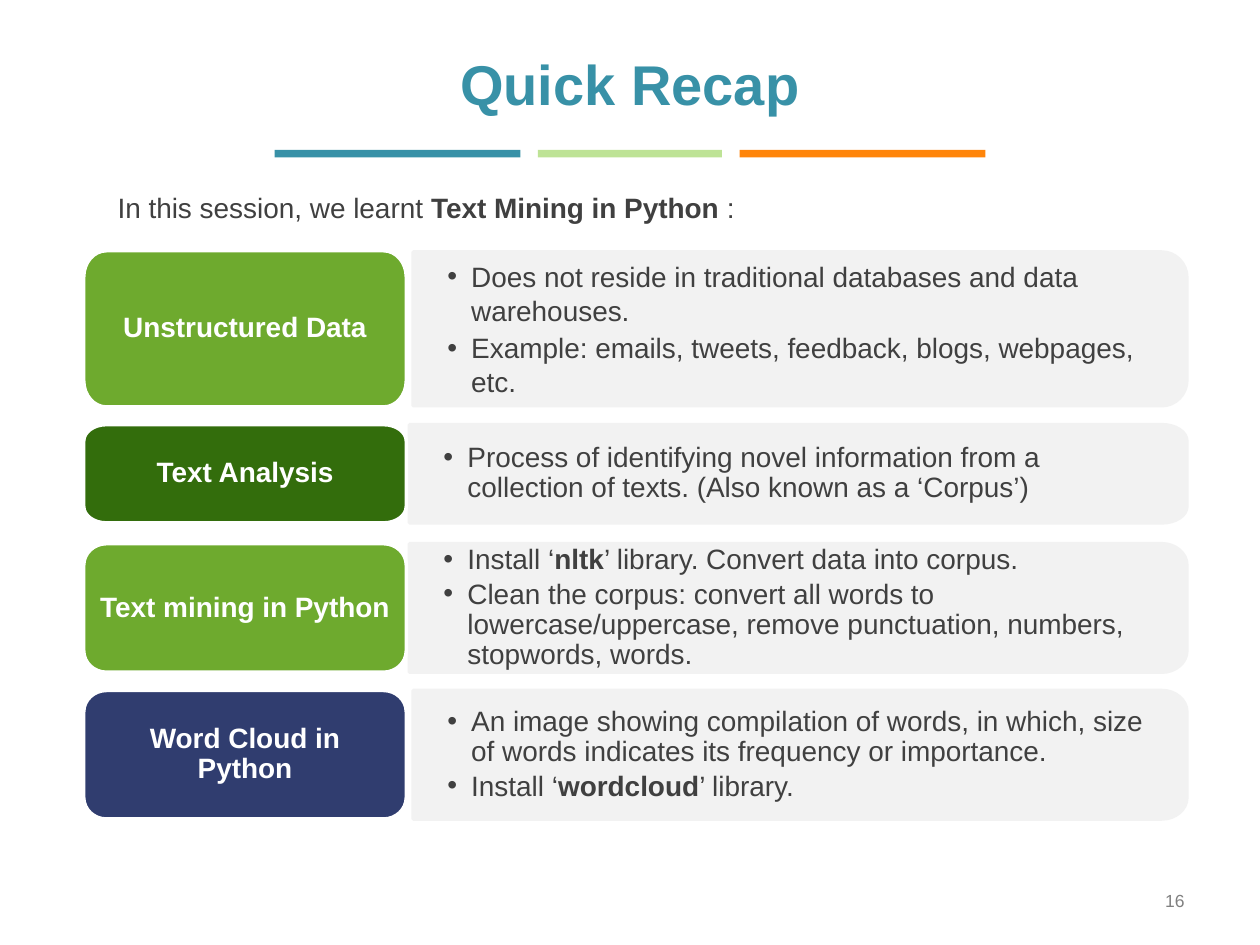
from dataclasses import dataclass
from typing import List, Tuple

import pptx
import pptx.dml.color
import pptx.enum.shapes
import pptx.enum.text
import pptx.oxml.ns
import pptx.util
from lxml import etree

ALIGN = pptx.enum.text.PP_ALIGN
MIDDLE = pptx.enum.text.MSO_ANCHOR.MIDDLE
COLUMNS, ROWS = 100, 75
CELL = pptx.util.Inches(10) // COLUMNS

Runs = List[Tuple[str, bool]]


@dataclass(frozen=True)
class Theme:
    font: str = "Arial"
    teal: str = "3891A7"
    lime: str = "BEE396"
    orange: str = "FF850A"
    green: str = "6EAA2E"
    forest: str = "336D0C"
    navy: str = "303D6F"
    panel: str = "F2F2F2"
    white: str = "FFFFFF"
    body: str = "404040"
    grey: str = "808080"
    title_size: int = 32
    body_size: int = 16
    number_size: int = 10


@dataclass(frozen=True)
class Topic:
    label: str
    color: str
    top: float
    height: float
    overhang: float
    panel_left: float
    spacing: float
    bullets: List[Runs]


T = Theme()
LABEL_LEFT, LABEL_RIGHT, PANEL_RIGHT = 6.65, 32.25, 94.2
CURVE = 0.55

TOPICS = [
    Topic("Unstructured Data", T.green, 20, 12.2, 0.1, 32.8, 1.0, [
        [("Does not reside in traditional databases and data warehouses.", False)],
        [("Example: emails, tweets, feedback, blogs, webpages, etc.", False)],
    ]),
    Topic("Text Analysis", T.forest, 33.7, 7.8, 0, 32.5, 0.9, [
        [("Process of identifying novel information from a collection of texts. "
          "(Also known as a ‘Corpus’)", False)],
    ]),
    Topic("Text mining in Python", T.green, 43.15, 10.2, 0, 32.5, 0.9, [
        [("Install ‘", False), ("nltk", True),
         ("’ library. Convert data into corpus.", False)],
        [("Clean the corpus: convert all words to lowercase/uppercase, remove "
          "punctuation, numbers, stopwords, words.", False)],
    ]),
    Topic("Word Cloud in Python", T.navy, 54.8, 10.2, 0, 32.8, 0.9, [
        [("An image showing compilation of words, in which, size of words "
          "indicates its frequency or importance.", False)],
        [("Install ‘", False), ("wordcloud", True), ("’ library.", False)],
    ]),
]


def grid(n: float) -> int:
    return round(n * CELL)


def rgb(color: str) -> pptx.dml.color.RGBColor:
    return pptx.dml.color.RGBColor.from_string(color)


def add_runs(p, runs: Runs, size: int, color: str) -> None:
    for text, bold in runs:
        r = p.add_run()
        r.text = text
        r.font.name = T.font
        r.font.size = pptx.util.Pt(size)
        r.font.bold = bold
        r.font.color.rgb = rgb(color)


def add_bullet(p) -> None:
    pPr = p._p.get_or_add_pPr()
    pPr.set("marL", str(pptx.util.Inches(0.19)))
    pPr.set("indent", str(pptx.util.Inches(-0.19)))
    etree.SubElement(pPr, pptx.oxml.ns.qn("a:buFont")).set("typeface", T.font)
    etree.SubElement(pPr, pptx.oxml.ns.qn("a:buChar")).set("char", "•")


def set_insets(tf, left: float, top: float, right: float) -> None:
    tf.margin_left = pptx.util.Inches(left)
    tf.margin_right = pptx.util.Inches(right)
    tf.margin_top = tf.margin_bottom = pptx.util.Inches(top)
    tf.vertical_anchor = MIDDLE
    tf.word_wrap = True


def round_diagonals(sp) -> None:
    qn = pptx.oxml.ns.qn
    start = None
    for pt in list(sp._element.iter(qn("a:pt"))):
        end = int(pt.get("x")), int(pt.get("y"))
        if start and start[0] != end[0] and start[1] != end[1]:
            falling = (end[0] - start[0]) * (end[1] - start[1]) > 0
            tip = (end[0], start[1]) if falling else (start[0], end[1])
            line = pt.getparent()
            curve = etree.Element(qn("a:cubicBezTo"))
            controls = [[round(a + CURVE * (c - a)) for a, c in zip(anchor, tip)]
                        for anchor in (start, end)]
            for x, y in controls + [end]:
                etree.SubElement(curve, qn("a:pt"), x=str(x), y=str(y))
            line.getparent().replace(line, curve)
        start = end


def add_card(s, left: float, top: float, right: float, height: float,
             rx: float, round_left: bool, fill: str, line: str):
    bottom, ry = top + height, height / 6
    points = [(right - rx, top), (right, top + ry),
              (right, bottom - ry), (right - rx, bottom)]
    if round_left:
        points += [(left + rx, bottom), (left, bottom - ry),
                   (left, top + ry), (left + rx, top)]
    else:
        points += [(left, bottom), (left, top)]
    points = [(grid(x), grid(y)) for x, y in points]
    builder = s.shapes.build_freeform(*points[0])
    builder.add_line_segments(points[1:], close=True)
    sp = builder.convert_to_shape()
    round_diagonals(sp)
    sp.shadow.inherit = False
    sp.fill.solid()
    sp.fill.fore_color.rgb = rgb(fill)
    sp.line.color.rgb = rgb(line)
    sp.line.width = pptx.util.Pt(2)
    return sp


def add_topic(s, topic: Topic) -> None:
    sp = add_card(s, topic.panel_left, topic.top, PANEL_RIGHT, topic.height, 2,
                  False, T.panel, T.panel)
    tf = sp.text_frame
    set_insets(tf, 0.27, 0.18, 0.32)
    for i, runs in enumerate(topic.bullets):
        p = tf.add_paragraph() if i else tf.paragraphs[0]
        add_bullet(p)
        p.alignment = ALIGN.LEFT
        p.line_spacing = topic.spacing
        p.space_after = pptx.util.Pt(2.4)
        add_runs(p, runs, T.body_size, T.body)

    sp = add_card(s, LABEL_LEFT, topic.top - topic.overhang, LABEL_RIGHT,
                  topic.height + 2 * topic.overhang, 1.8, True, topic.color, T.white)
    set_insets(sp.text_frame, 0.13, 0.09, 0.13)
    p = sp.text_frame.paragraphs[0]
    p.alignment = ALIGN.CENTER
    p.line_spacing = 0.9
    add_runs(p, [(topic.label, True)], T.body_size, T.white)


def add_bar(s, left: float, width: float, color: str) -> None:
    sp = s.shapes.add_shape(pptx.enum.shapes.MSO_SHAPE.RECTANGLE,
                            grid(left), grid(11.9), grid(width), grid(0.6))
    sp.shadow.inherit = False
    sp.fill.solid()
    sp.fill.fore_color.rgb = rgb(color)
    sp.line.fill.background()


def add_text(s, left: float, top: float, width: float, height: float,
             runs: Runs, size: int, color: str, align) -> None:
    tf = s.shapes.add_textbox(grid(left), grid(top), grid(width), grid(height)).text_frame
    tf.word_wrap = True
    tf.vertical_anchor = MIDDLE
    p = tf.paragraphs[0]
    p.alignment = align
    add_runs(p, runs, size, color)


def main() -> None:
    prs = pptx.Presentation()
    prs.slide_width, prs.slide_height = grid(COLUMNS), grid(ROWS)
    s = prs.slides.add_slide(prs.slide_layouts[5])

    title = s.shapes.title
    title.left, title.top = grid(5), grid(2.35)
    title.width, title.height = grid(90), grid(8.5)
    title.text_frame.vertical_anchor = MIDDLE
    p = title.text_frame.paragraphs[0]
    p.alignment = ALIGN.CENTER
    add_runs(p, [("Quick Recap", True)], T.title_size, T.teal)

    left = 21.8
    for width, color in ((19.5, T.teal), (14.6, T.lime), (19.5, T.orange)):
        add_bar(s, left, width, color)
        left += width + 1.4

    for topic in TOPICS:
        add_topic(s, topic)

    add_text(s, 8.35, 14.6, 76.7, 3.7,
             [("In this session, we learnt ", False), ("Text Mining in Python ", True),
              (":", False)], T.body_size, T.body, ALIGN.LEFT)
    add_text(s, 71.7, 69.5, 23.3, 4, [("16", False)], T.number_size, T.grey, ALIGN.RIGHT)
    prs.save("out.pptx")


if __name__ == "__main__":
    main()
